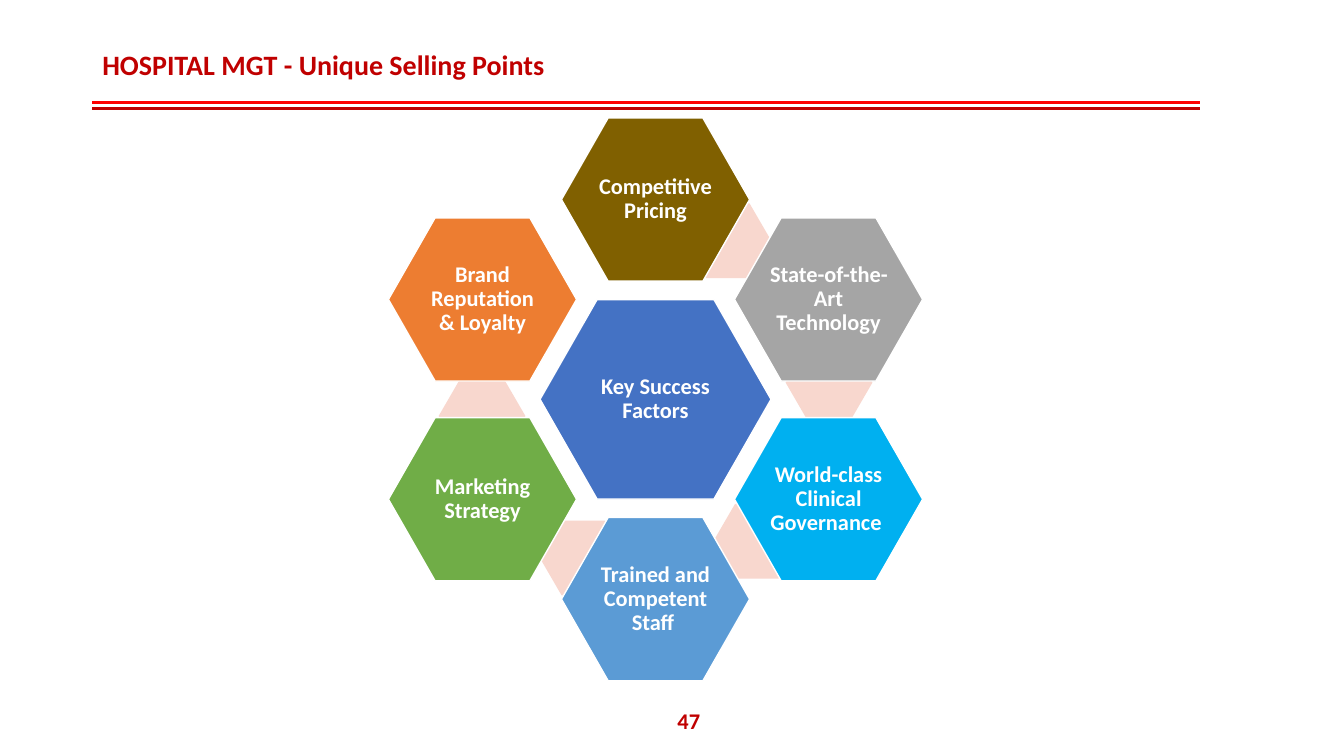
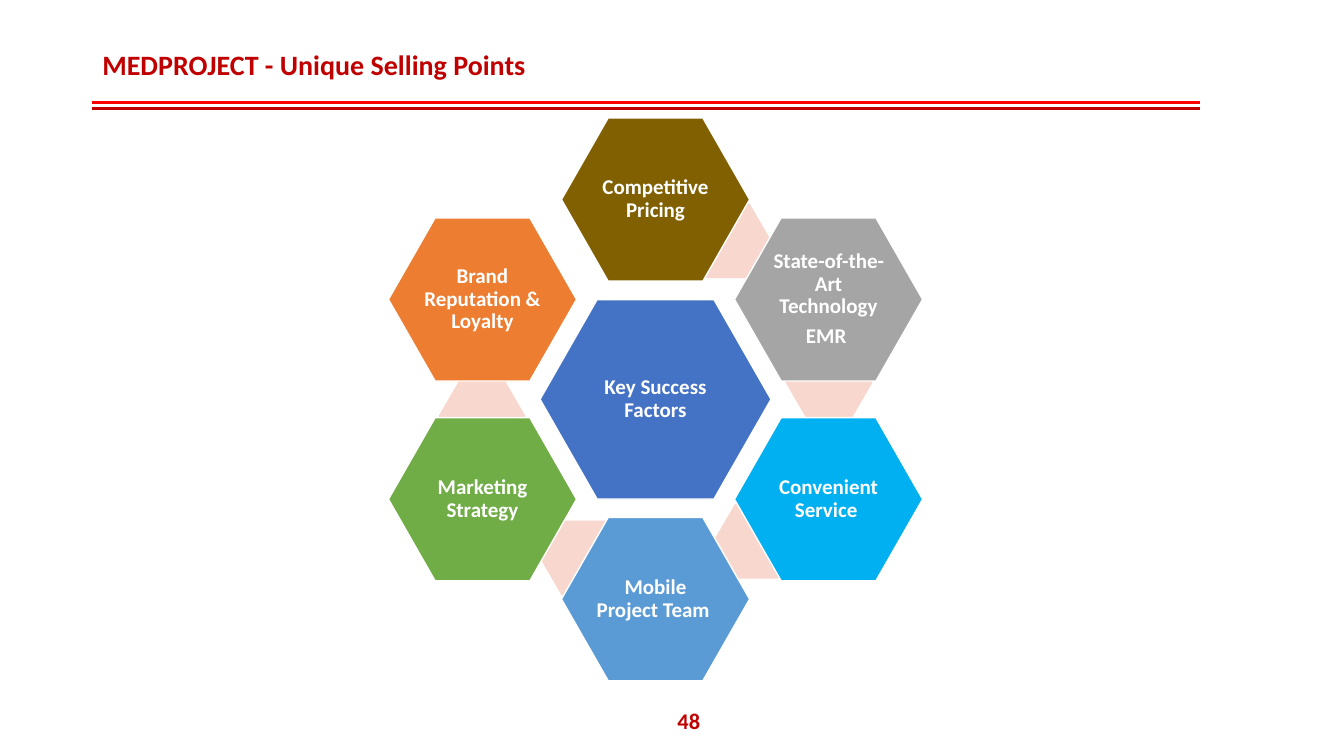
import math

from lxml import etree
from pptx import Presentation
from pptx.dml.color import RGBColor
from pptx.enum import shapes, text
from pptx.oxml import ns
from pptx.util import Pt

FONT = "Calibri"
WHITE = RGBColor(0xFF, 0xFF, 0xFF)
RED = RGBColor(0xFF, 0x00, 0x00)
DARK_RED = RGBColor(0xC0, 0x00, 0x00)
BLUE = RGBColor(0x44, 0x72, 0xC4)
PINK = RGBColor(0xF8, 0xD7, 0xCE)
# Clockwise from the top
FACTOR_COLOURS = (
    RGBColor(0x80, 0x60, 0x00),
    RGBColor(0xA5, 0xA5, 0xA5),
    RGBColor(0x00, 0xB0, 0xF0),
    RGBColor(0x5B, 0x9B, 0xD5),
    RGBColor(0x70, 0xAD, 0x47),
    RGBColor(0xED, 0x7D, 0x31),
)

# Each factor is a list of paragraphs, clockwise from the top
SLIDES = (
    ("HOSPITAL MGT - Unique Selling Points", 47, 16, (
        ["Competitive Pricing"],
        ["State-of-the-Art Technology"],
        ["World-class Clinical Governance "],
        ["Trained and Competent Staff "],
        ["Marketing Strategy"],
        ["Brand Reputation & Loyalty"],
    )),
    ("MEDPROJECT - Unique Selling Points", 48, 15, (
        ["Competitive Pricing"],
        ["State-of-the-Art Technology", "EMR "],
        ["Convenient Service "],
        ["Mobile Project Team "],
        ["Marketing Strategy"],
        ["Brand Reputation & Loyalty"],
    )),
)


def write(frame, lines, size, colour, align, spacing=1.0, after=0):
    """Fill a text frame with bold paragraphs, centred vertically."""
    frame.word_wrap = True
    frame.vertical_anchor = text.MSO_ANCHOR.MIDDLE
    frame.text = "\n".join(lines)
    for para in frame.paragraphs:
        para.alignment = align
        para.line_spacing = spacing
        para.space_after = Pt(after)
        for span in para.runs:
            span.font.name = FONT
            span.font.size = Pt(size)
            span.font.bold = True
            span.font.color.rgb = colour


def add_rule(page, left, right, y, colour):
    rule = page.shapes.add_connector(
        shapes.MSO_CONNECTOR.STRAIGHT, Pt(left), Pt(y), Pt(right), Pt(y))
    rule.line.color.rgb = colour
    rule.line.width = Pt(2.25)
    etree.SubElement(rule._element.spPr, ns.qn("a:effectLst"))


def add_header(page, title, left, top, width, height):
    box = page.shapes.add_textbox(Pt(left), Pt(top), Pt(width), Pt(height))
    write(box.text_frame, [title], 20, DARK_RED, text.PP_ALIGN.LEFT, 0.9)
    # Double rule under the title
    for gap, colour in ((3.5, RED), (7.75, DARK_RED)):
        add_rule(page, left, left + width - 0.5, top + height + gap, colour)


def add_page_number(page, number, left, top, width, height):
    box = page.shapes.add_textbox(Pt(left), Pt(top), Pt(width), Pt(height))
    write(box.text_frame, [str(number)], 16, DARK_RED, text.PP_ALIGN.CENTER)


def add_hexagon(page, centre, width, height, colour):
    x, y = centre
    hexagon = page.shapes.add_shape(
        shapes.MSO_SHAPE.HEXAGON, Pt(x - width / 2), Pt(y - height / 2),
        Pt(width), Pt(height))
    hexagon.shadow.inherit = False
    hexagon.adjustments[0] = 0.29
    hexagon.fill.solid()
    hexagon.fill.fore_color.rgb = colour
    hexagon.line.fill.background()
    return hexagon


def add_factor(page, centre, width, height, colour, lines, size):
    hexagon = add_hexagon(page, centre, width, height, colour)
    hexagon.adjustments[0] = 0.286
    hexagon.line.color.rgb = WHITE
    hexagon.line.width = Pt(1)
    frame = hexagon.text_frame
    frame.margin_left = frame.margin_right = Pt(1.5)
    frame.margin_top = frame.margin_bottom = Pt(1.5)
    write(frame, lines, size, WHITE, text.PP_ALIGN.CENTER, 0.9, 0.35 * size)


def add_factor_ring(page, factors, size, left, top, width, height):
    """Six factors around a core, with a link between neighbours."""
    core = (left + width / 2, top + height / 2)
    factor_width, factor_height = width * 0.35, height * 0.29
    ring = (height - factor_height) / 2

    def around(radius, degrees):
        angle = math.radians(degrees)
        return (core[0] + radius * math.sin(angle),
                core[1] - radius * math.cos(angle))

    # Links lie behind the factors; the ring stays open at its last gap
    for step in range(len(factors) - 1):
        add_hexagon(page, around(124.5, 24.5 + 60 * step), 62, 53.5, PINK)
    add_factor(page, core, 165, 142.5, BLUE, ["Key Success Factors"], size)
    for step, (lines, colour) in enumerate(zip(factors, FACTOR_COLOURS)):
        add_factor(page, around(ring, 60 * step), factor_width, factor_height,
                   colour, lines, size)


def add_selling_points(deck, title, number, size, factors):
    page = deck.slides.add_slide(deck.slide_layouts[6])
    add_header(page, title, 66, 25, 792, 45)
    add_page_number(page, number, 467.5, 500.5, 49, 29)
    add_factor_ring(page, factors, size, 276.25, 84.25, 384, 402)


def main():
    deck = Presentation()
    deck.slide_width, deck.slide_height = Pt(960), Pt(540)
    for slide in SLIDES:
        add_selling_points(deck, *slide)
    deck.save("out.pptx")


if __name__ == "__main__":
    main()
